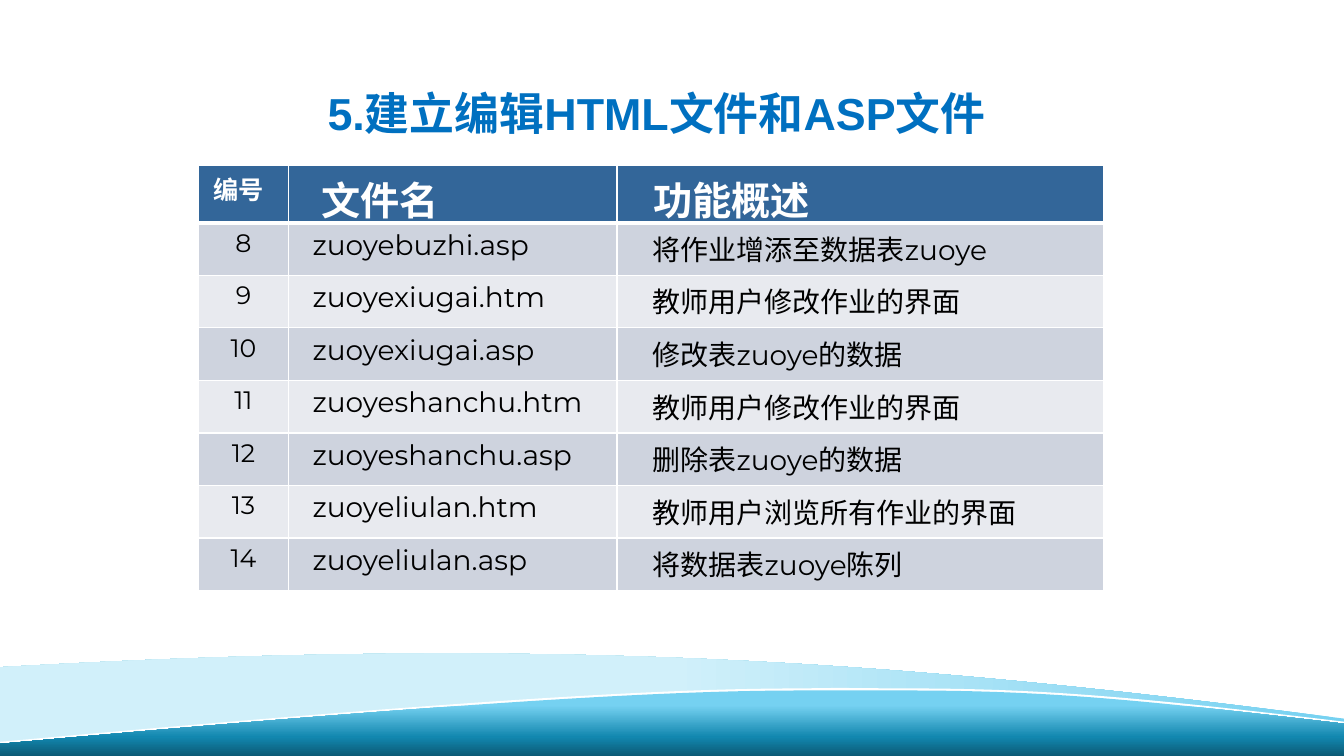
from dataclasses import dataclass

from pptx import Presentation
from pptx.dml.color import RGBColor
from pptx.enum.text import PP_ALIGN as Align
from pptx.oxml import parse_xml
from pptx.oxml.ns import nsdecls, qn
from pptx.util import Inches, Pt

SLIDE_WIDTH = 13.33
HEADER_HEIGHT = 0.57
BODY_HEIGHT = 3.65
WHITE = "FFFFFF"
HEADER_FILL = "336699"
BAND_FILLS = ("CED3DE", "E8EAEF")


@dataclass
class Wave:
    """Full-width outline: pairs are line ends, sextuples are Bezier curves."""
    top: float
    height: float
    start: tuple
    segments: list
    stops: list
    angle: int = 0


@dataclass
class Column:
    width: float
    header: str
    header_size: int
    header_margin: float
    body_size: int
    body_margin: float
    align: Align = Align.LEFT


WAVES = [
    Wave(6.48, 0.93, (0, 6.62),
         [(5.92, 6.28, 9.33, 6.62, 13.33, 7.13),
          (13.33, 7.36, 13.33, 7.09, 13.33, 7.33),
          (8.72, 6.41, 4.83, 7.18, 0, 7.41), (0, 6.62)],
         [(0, "75D1F1"), (50, "D1F0FA"), (100, "D1F0FA")], 180),
    Wave(6.83, 0.64, (7.98, 6.83),
         [(8.35, 6.82, 8.65, 6.83, 8.99, 6.83),
          (10.36, 6.83, 11.31, 6.92, 13.33, 7.16), (13.33, 7.26),
          (11.31, 7.02, 10.36, 6.93, 8.99, 6.93),
          (8.65, 6.94, 8.35, 6.93, 7.98, 6.93),
          (6.88, 6.93, 5.19, 7, 0, 7.46), (0, 7.36),
          (5.19, 6.89, 6.88, 6.83, 7.98, 6.83)],
         [(0, WHITE)]),
    Wave(6.85, 0.65, (7.98, 6.85),
         [(8.35, 6.85, 8.65, 6.85, 8.99, 6.85),
          (10.36, 6.85, 11.31, 6.94, 13.33, 7.18), (13.33, 7.5),
          (0, 7.5), (0, 7.38), (5.19, 6.91, 6.88, 6.85, 7.98, 6.85)],
         [(23, "75D1F1"), (71, "1287AF"), (100, "0C5A75")], 90),
]

COLUMNS = [
    Column(0.89, "编号", 18, 0.15, 18, 0.1, Align.CENTER),
    Column(3.26, "文件名", 28, 0.33, 20, 0.24),
    Column(4.83, "功能概述", 28, 0.36, 20, 0.35),
]

FILES = [
    ("8", "zuoyebuzhi.asp", "将作业增添至数据表zuoye"),
    ("9", "zuoyexiugai.htm", "教师用户修改作业的界面"),
    ("10", "zuoyexiugai.asp", "修改表zuoye的数据"),
    ("11", "zuoyeshanchu.htm", "教师用户修改作业的界面"),
    ("12", "zuoyeshanchu.asp", "删除表zuoye的数据"),
    ("13", "zuoyeliulan.htm", "教师用户浏览所有作业的界面"),
    ("14", "zuoyeliulan.asp", "将数据表zuoye陈列"),
]


def rgb(color: str) -> RGBColor:
    return RGBColor.from_string(color)


def set_font(p, name: str, size: int, color: str, bold: bool) -> None:
    p.font.name = name
    p.font.size = Pt(size)
    p.font.color.rgb = rgb(color)
    p.font.bold = bold


def outline_step(tag: str, coords: tuple, top: float) -> str:
    points = "".join(f'<a:pt x="{Inches(x)}" y="{Inches(y - top)}"/>'
                     for x, y in zip(coords[::2], coords[1::2]))
    return f"<a:{tag}>{points}</a:{tag}>"


def set_outline(sp, wave: Wave) -> None:
    steps = outline_step("moveTo", wave.start, wave.top)
    for segment in wave.segments:
        tag = "lnTo" if len(segment) == 2 else "cubicBezTo"
        steps += outline_step(tag, segment, wave.top)
    outlines = sp._element.spPr.find(qn("a:custGeom")).find(qn("a:pathLst"))
    outlines.replace(outlines[0], parse_xml(
        f'<a:path {nsdecls("a")} w="{Inches(SLIDE_WIDTH)}" '
        f'h="{Inches(wave.height)}">{steps}<a:close/></a:path>'))


def set_gradient(sp, stops: list, angle: int) -> None:
    marks = "".join(f'<a:gs pos="{pos * 1000}"><a:srgbClr val="{color}"/></a:gs>'
                    for pos, color in stops)
    sp.fill.background()
    props = sp._element.spPr
    props.replace(props.find(qn("a:noFill")), parse_xml(
        f'<a:gradFill {nsdecls("a")} rotWithShape="1"><a:gsLst>{marks}</a:gsLst>'
        f'<a:lin ang="{angle * 60000}" scaled="0"/></a:gradFill>'))


def draw_wave(slide, wave: Wave) -> None:
    left, right = 0, Inches(SLIDE_WIDTH)
    top, bottom = Inches(wave.top), Inches(wave.top + wave.height)
    builder = slide.shapes.build_freeform(left, top)
    builder.add_line_segments([(right, top), (right, bottom), (left, bottom)])
    sp = builder.convert_to_shape()
    set_outline(sp, wave)
    sp.shadow.inherit = False
    sp.line.fill.background()
    if len(wave.stops) > 1:
        set_gradient(sp, wave.stops, wave.angle)
    else:
        sp.fill.solid()
        sp.fill.fore_color.rgb = rgb(wave.stops[0][1])


def set_borders(cell, top: int, bottom: int) -> None:
    props = cell._tc.get_or_add_tcPr()
    widths = {"lnL": 1, "lnR": 1, "lnT": top, "lnB": bottom}
    for i, (side, width) in enumerate(widths.items()):
        props.insert(i, parse_xml(
            f'<a:{side} {nsdecls("a")} w="{Pt(width)}"><a:solidFill>'
            f'<a:srgbClr val="{WHITE}"/></a:solidFill></a:{side}>'))


def draw_title(slide) -> None:
    tf = slide.shapes.add_textbox(Inches(2.65), Inches(0.8),
                                  Inches(9.99), Inches(0.64)).text_frame
    tf.word_wrap = True
    p = tf.paragraphs[0]
    p.text = "5.建立编辑HTML文件和ASP文件"
    p._p.get_or_add_pPr().set("marL", str(Inches(0.5)))
    set_font(p, "Arial", 32, "0070C0", True)


def draw_table(slide) -> None:
    rows = [tuple(col.header for col in COLUMNS), *FILES]
    table = slide.shapes.add_table(
        len(rows), len(COLUMNS), Inches(1.97), Inches(1.64),
        Inches(sum(col.width for col in COLUMNS)),
        Inches(HEADER_HEIGHT + BODY_HEIGHT)).table
    for c, col in enumerate(COLUMNS):
        table.columns[c].width = Inches(col.width)
    for r, texts in enumerate(rows):
        is_header = r == 0
        table.rows[r].height = Inches(HEADER_HEIGHT if is_header
                                      else BODY_HEIGHT / len(FILES))
        fill = HEADER_FILL if is_header else BAND_FILLS[(r - 1) % 2]
        for c, (col, text) in enumerate(zip(COLUMNS, texts)):
            cell = table.cell(r, c)
            cell.fill.solid()
            cell.fill.fore_color.rgb = rgb(fill)
            set_borders(cell, 3 if r == 1 else 1, 3 if is_header else 1)
            cell.margin_left = Inches(col.header_margin if is_header
                                      else col.body_margin)
            p = cell.text_frame.paragraphs[0]
            p.text = text
            p.alignment = Align.LEFT if is_header else col.align
            set_font(p, "Montserrat",
                     col.header_size if is_header else col.body_size,
                     WHITE if is_header else "000000", is_header)


def main() -> None:
    prs = Presentation()
    prs.slide_width, prs.slide_height = Inches(SLIDE_WIDTH), Inches(7.5)
    slide = prs.slides.add_slide(prs.slide_layouts[6])
    # Background waves
    for wave in WAVES:
        draw_wave(slide, wave)
    # Title and file list
    draw_title(slide)
    draw_table(slide)
    prs.save("out.pptx")


if __name__ == "__main__":
    main()
